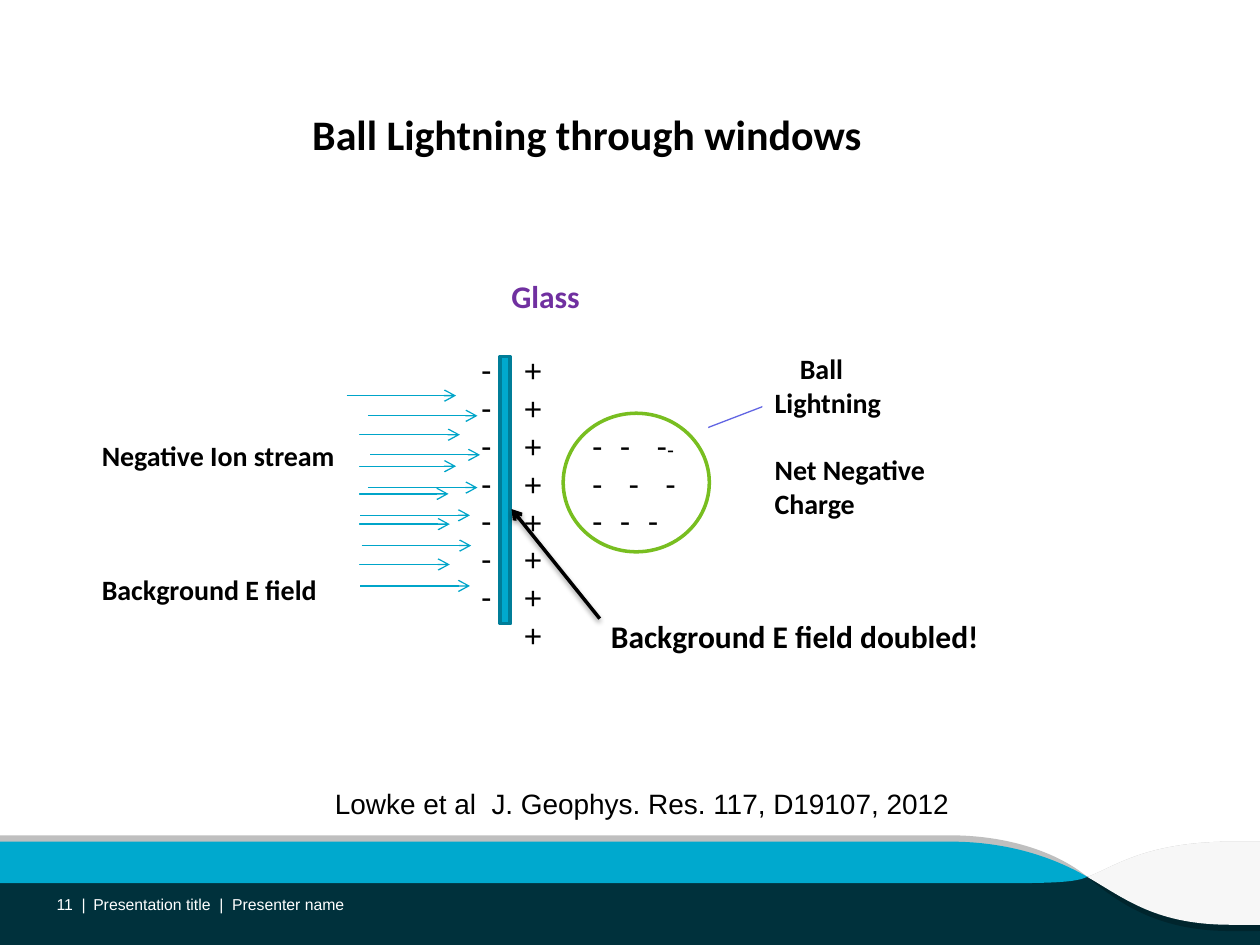
from typing import NamedTuple

from lxml.etree import Element, SubElement
from pptx import Presentation
from pptx.dml.color import RGBColor
from pptx.enum.shapes import MSO_CONNECTOR, MSO_SHAPE
from pptx.enum.text import MSO_ANCHOR, PP_ALIGN
from pptx.oxml.ns import qn
from pptx.util import Inches, Pt


class Box(NamedTuple):
    """A place on the slide, in inches."""
    left: float
    top: float
    width: float
    height: float


class Band(NamedTuple):
    """Filled outlines, each a start and steps: pairs are corners, sixes are curves."""
    color: str
    loops: list


class Arrow(NamedTuple):
    """An arrow from one point to another, in inches."""
    start: tuple
    end: tuple
    color: str = "00A5C9"
    width: float = 0.75


CREST = (9.08, 6.68, 8.83, 6.89, 8.63, 6.96)
TIP = (8.4, 7.01, 8.54, 7, 8.63, 6.96)
BANDS = [
    Band("BFBFBF", [
        [(10, 6.68), (9.78, 6.68), CREST, (10, 6.96), (10, 7.39)],
        [(7.54, 6.63), (0, 6.63), (0, 6.96), (8.63, 6.96), (8.4, 6.77, 8.01, 6.63, 7.54, 6.63)],
    ]),
    Band("00252D", [
        [(8.63, 6.96), (0, 6.96), (0, 7.01), (7.95, 7.01), TIP],
        [(10, 6.96), (8.63, 6.96), (8.87, 7.16, 9.18, 7.39, 9.77, 7.39), (10, 7.39)],
    ]),
    Band("00A9CE", [
        [(8.63, 6.96), (8.37, 6.81, 8.01, 6.68, 7.54, 6.68), (0, 6.68), (0, 7.01),
         (7.95, 7.01), TIP],
    ]),
    Band("F7F7F7", [
        [(9.78, 6.68), CREST, (8.94, 7.14, 9.18, 7.34, 9.77, 7.34), (10, 7.34), (10, 6.68)],
    ]),
]
REAR = [(2.75, 3.14), (2.78, 3.45), (2.69, 3.92), (2.7, 4.48), (2.75, 3.7), (2.7, 4.16)]
FRONT = [(2.92, 3.3), (2.94, 3.61), (2.86, 4.09), (2.86, 4.65), (2.92, 3.87), (2.87, 4.33)]
REACH = 0.87


def tint(code: str) -> RGBColor:
    """Turn a hex string into a colour."""
    return RGBColor.from_string(code)


def place(box: Box) -> list:
    """Give the lengths of a box."""
    return [Inches(side) for side in box]


def paint(shape, fill: str = "", line: str = "", width: float = 2) -> None:
    """Set the fill and line of a shape and drop its shadow."""
    shape.shadow.inherit = False
    for part, code in ((shape.fill, fill), (shape.line.fill, line)):
        if code:
            part.solid()
            part.fore_color.rgb = tint(code)
        else:
            part.background()
    if line:
        shape.line.width = Pt(width)


def bend(shape, steps: list) -> None:
    """Turn the straight sides that belong to curves into cubic curves."""
    sides = list(shape._element.iter(qn("a:lnTo")))
    for side, step in zip(sides, steps):
        if len(step) == 6:
            arc = Element(qn("a:cubicBezTo"))
            for x, y in zip(step[::2], step[1::2]):
                SubElement(arc, qn("a:pt"), x=str(Inches(x) - shape.left),
                           y=str(Inches(y) - shape.top))
            side.getparent().replace(side, arc)


def swoosh(slide, band: Band) -> None:
    """Draw one band of the footer."""
    build = None
    for loop in band.loops:
        first, *spots = [(Inches(step[-2]), Inches(step[-1])) for step in loop]
        if build is None:
            build = slide.shapes.build_freeform(*first)
        else:
            build.move_to(*first)
        build.add_line_segments(spots, close=True)
    shape = build.convert_to_shape()
    bend(shape, [step for loop in band.loops for step in loop[1:]])
    paint(shape, band.color)


def shoot(slide, arrow: Arrow, shade: bool = False) -> None:
    """Draw an arrow, with a soft shadow if asked."""
    ends = [Inches(n) for n in (*arrow.start, *arrow.end)]
    link = slide.shapes.add_connector(MSO_CONNECTOR.STRAIGHT, *ends)
    link.line.color.rgb = tint(arrow.color)
    link.line.width = Pt(arrow.width)
    SubElement(link.line._get_or_add_ln(), qn("a:tailEnd"), type="arrow")
    effects = SubElement(link._element.spPr, qn("a:effectLst"))
    if shade:
        glow = SubElement(effects, qn("a:outerShdw"), blurRad=str(Pt(3.1)),
                          dist=str(Pt(1.6)), dir="5400000", rotWithShape="0")
        code = SubElement(glow, qn("a:srgbClr"), val="000000")
        SubElement(code, qn("a:alpha"), val="38000")


def style(run, size: float, font: str, color: str, bold: bool) -> None:
    """Set the font of a run."""
    run.font.size, run.font.name, run.font.bold = Pt(size), font, bold
    run.font.color.rgb = tint(color)


def write(slide, text: str, box: Box, size: float = 18, font: str = "Calibri",
          color: str = "000000", bold: bool = True, fill: str = "", align=PP_ALIGN.LEFT,
          anchor=MSO_ANCHOR.TOP, inset: bool = True, pitch: float = 0, gaps=(), dents=()):
    """Write lines of text in a box and return its frame."""
    if fill:
        shape = slide.shapes.add_shape(MSO_SHAPE.RECTANGLE, *place(box))
        paint(shape, fill)
    else:
        shape = slide.shapes.add_textbox(*place(box))
    frame = shape.text_frame
    frame.word_wrap, frame.vertical_anchor = True, anchor
    if not inset:
        frame.margin_left = frame.margin_right = 0
        frame.margin_top = frame.margin_bottom = 0
    for i, line in enumerate(text.split("\n")):
        para = frame.add_paragraph() if i else frame.paragraphs[0]
        para.alignment = align
        if pitch:
            para.line_spacing = Pt(pitch)
        if i in dict(gaps):
            para.space_before = Pt(dict(gaps)[i])
        if i in dict(dents):
            para._p.get_or_add_pPr().set("marL", str(Inches(dict(dents)[i])))
        run = para.add_run()
        run.text = line
        style(run, size, font, color, bold)
    return frame


def main() -> None:
    """Build the slide and save it."""
    deck = Presentation()
    deck.slide_width, deck.slide_height = Inches(10), Inches(7.5)
    slide = deck.slides.add_slide(deck.slide_layouts[6])
    add = slide.shapes.add_shape

    paint(add(MSO_SHAPE.RECTANGLE, *place(Box(0, 6.96, 10, 0.54))), "00313C")
    for band in BANDS:
        swoosh(slide, band)
    foot = dict(size=9, font="Arial", color="FFFFFF", bold=False,
                anchor=MSO_ANCHOR.MIDDLE, inset=False)
    write(slide, "Presentation title  |  Presenter name", Box(0.74, 7.11, 6.65, 0.14), **foot)
    write(slide, "11  |", Box(0.36, 7.11, 0.32, 0.14), align=PP_ALIGN.RIGHT, **foot)

    write(slide, "Glass", Box(3.96, 2.15, 1.02, 0.4), color="7030A0")
    shoot(slide, Arrow((6.28, 3.14), (5.42, 3.47), "6165E3"))
    for x, y in REAR:
        shoot(slide, Arrow((x, y), (x + REACH, y)))
    paint(add(MSO_SHAPE.RECTANGLE, *place(Box(3.97, 2.83, 0.08, 2.12))), "00A9CE", "007D98")
    write(slide, "Negative Ion stream\nBackground E field", Box(0.71, 3.43, 2.14, 1.45),
          size=16, fill="FFFFFF", gaps={1: 57.5})
    write(slide, "Ball\nLightning\nNet Negative Charge", Box(6.05, 2.74, 1.63, 1.45),
          size=16, fill="FFFFFF", gaps={2: 19.5}, dents={0: 0.2})

    signs = dict(font="Arial", bold=False, pitch=21.6)
    ball = write(slide, "-  -   -\n-   -   -\n-  -  -", Box(4.6, 3.33, 1.02, 1),
                 fill="FFFFFF", **signs)
    small = ball.paragraphs[0].add_run()
    small.text = "-"
    style(small, 12, "Arial", "000000", False)
    paint(add(MSO_SHAPE.OVAL, *place(Box(4.47, 3.28, 1.16, 1.1))), line="78BE20")

    write(slide, "Ball Lightning through windows", Box(2.38, 0.81, 4.6, 0.81), size=24)
    for x, y in FRONT:
        shoot(slide, Arrow((x, y), (x + REACH, y)))
    write(slide, "+\n+++\n+\n+\n+\n+", Box(4.06, 2.74, 0.37, 2.52), **signs)
    write(slide, "\n".join("-" * 7), Box(3.72, 2.73, 0.37, 2.22), **signs)
    write(slide, "Background E field doubled!", Box(4.75, 4.85, 3.15, 0.74))
    shoot(slide, Arrow((4.76, 4.91), (4.06, 4.04), "000000", 2), shade=True)
    write(slide, "Lowke et al  J. Geophys. Res. 117, D19107, 2012",
          Box(2.56, 6.19, 5.14, 0.37), size=16, font="Arial", bold=False)
    deck.save("out.pptx")


if __name__ == "__main__":
    main()
